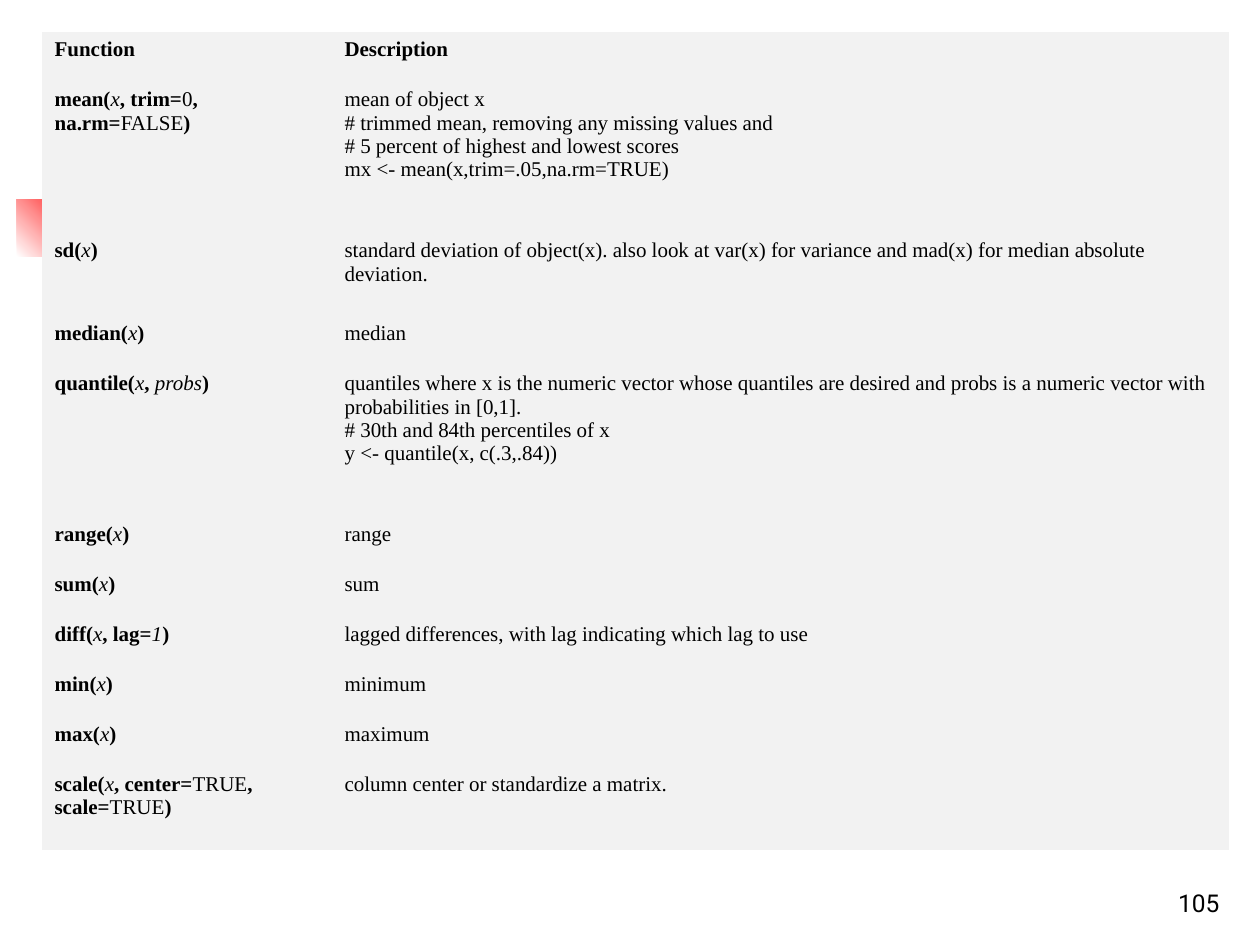
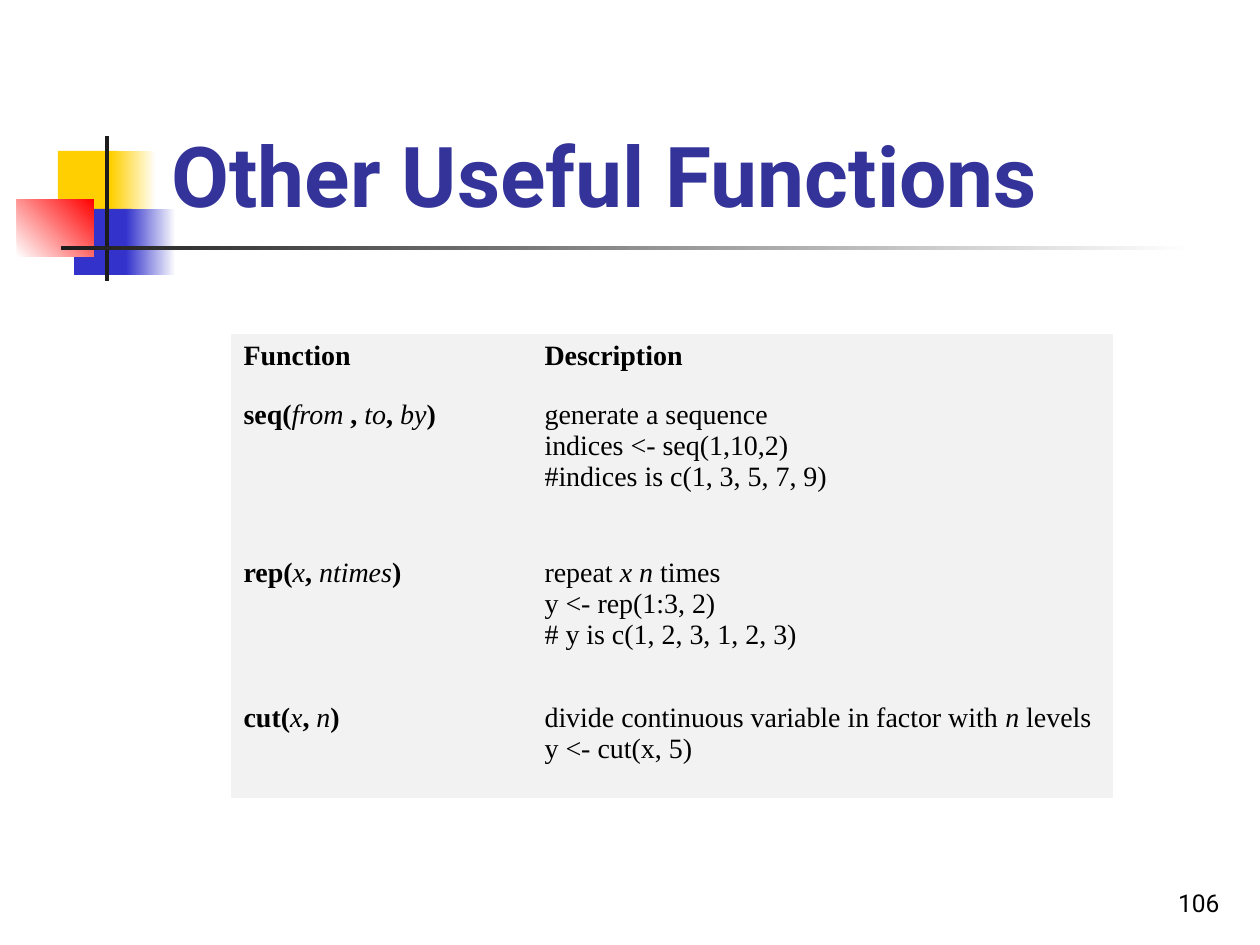
from pptx import Presentation
from pptx.dml.color import RGBColor
from pptx.enum.shapes import MSO_SHAPE
from pptx.enum.text import MSO_ANCHOR, MSO_AUTO_SIZE, PP_ALIGN
from pptx.oxml.ns import qn
from pptx.util import Emu, Pt

PX = 914400 // 126  # one px in EMU

WHITE = RGBColor(0xFF, 0xFF, 0xFF)
BLACK = RGBColor(0x00, 0x00, 0x00)
YELLOW = RGBColor(0xFF, 0xCF, 0x01)
BLUE = RGBColor(0x33, 0x33, 0xCC)
RED = RGBColor(0xFF, 0x00, 0x00)
CHARCOAL = RGBColor(0x1C, 0x1C, 0x1C)
TITLE_BLUE = RGBColor(0x33, 0x33, 0x99)
CELL_GREY = RGBColor(0xF2, 0xF2, 0xF2)

TITLE_FONT = "Roboto"
TABLE_FONT = "Times New Roman"
NO_STYLE_NO_GRID = "{2D5ABB26-0587-4C30-8999-92F81FD0307C}"
TITLE_ONLY, BLANK = 5, 6
ARGUMENT_VALUES = {"0", "TRUE", "FALSE"}  # set upright, other arguments italic

# Left, top, width, height, start colour, end colour, angle
BANDS = [
    (58, 151, 60, 66, YELLOW, None, 0),
    (111, 151, 45, 66, YELLOW, WHITE, 0),
    (74, 209, 58, 66, BLUE, None, 0),
    (126, 209, 50, 66, BLUE, WHITE, 0),
    (17, 199, 77, 58, WHITE, RED, 45),
    (105, 136, 4, 145, CHARCOAL, None, 0),
    (61, 246, 1134, 4, CHARCOAL, WHITE, 0),
]

# Underscores enclose the arguments and the emphasised words
HEADER = ("Function", "Description")
STATISTICS = [
    HEADER,
    ("mean(_x_, trim=_0_,\nna.rm=_FALSE_)",
     "mean of object x\n# trimmed mean, removing any missing values and \n"
     "# 5 percent of highest and lowest scores \nmx <- mean(x,trim=.05,na.rm=TRUE)"),
    ("sd(_x_)",
     "standard deviation of object(x). also look at var(x) for variance "
     "and mad(x) for median absolute deviation."),
    ("median(_x_)", "median"),
    ("quantile(_x_, _probs_)",
     "quantiles where x is the numeric vector whose quantiles are desired "
     "and probs is a numeric vector with probabilities in [0,1].\n"
     "# 30th and 84th percentiles of x\ny <- quantile(x, c(.3,.84))"),
    ("range(_x_)", "range"),
    ("sum(_x_)", "sum"),
    ("diff(_x_, lag=_1_)", "lagged differences, with lag indicating which lag to use"),
    ("min(_x_)", "minimum"),
    ("max(_x_)", "maximum"),
    ("scale(_x_, center=_TRUE_, scale=_TRUE_)", "column center or standardize a matrix."),
]
USEFUL = [
    HEADER,
    ("seq(_from_ ,_ to_,_ by_)",
     "generate a sequence\nindices <- seq(1,10,2)\n#indices is c(1, 3, 5, 7, 9)"),
    ("rep(_x_, _ntimes_)",
     "repeat _x n_ times\ny <- rep(1:3, 2)\n# y is c(1, 2, 3, 1, 2, 3)"),
    ("cut(_x_,_ n_)",
     "divide continuous variable in factor with _n_ levels \ny <- cut(x, 5)"),
]

# Title, number, table left and top, columns, row heights, text size, rows
SLIDES = [
    (None, "105", 42, 32, (290, 897),
     (50, 151, 83, 50, 151, 50, 50, 50, 50, 50, 83), 12, STATISTICS),
    ("Other Useful Functions", "106", 231, 334, (301, 581),
     (59, 158, 145, 102), 16, USEFUL),
]


def add_run(paragraph, text, font, size, color, bold=False, italic=False):
    for index, line in enumerate(text.split("\n")):
        if index:
            paragraph.add_line_break()
        run = paragraph.add_run()
        run.text = line
        run.font.name = font
        run.font.size = Pt(size)
        run.font.color.rgb = color
        run.font.bold = bold
        run.font.italic = italic


def box(left, top, width, height):
    return [Emu(length * PX) for length in (left, top, width, height)]


presentation = Presentation()
presentation.slide_width = Emu(1260 * PX)
presentation.slide_height = Emu(945 * PX)

for title, number, left, top, columns, heights, size, rows in SLIDES:
    layout = presentation.slide_layouts[TITLE_ONLY if title else BLANK]
    slide = presentation.slides.add_slide(layout)

    # Title
    if title:
        placeholder = slide.shapes.title
        placeholder.left, placeholder.top, placeholder.width, placeholder.height = box(
            159, 29, 1073, 202)
        frame = placeholder.text_frame
        frame.auto_size = MSO_AUTO_SIZE.NONE
        frame.vertical_anchor = MSO_ANCHOR.BOTTOM
        frame.paragraphs[0].alignment = PP_ALIGN.LEFT
        add_run(frame.paragraphs[0], title, TITLE_FONT, 48, TITLE_BLUE, bold=True)

    # Slide number
    frame = slide.shapes.add_textbox(*box(970, 861, 262, 63)).text_frame
    frame.word_wrap = True
    frame.vertical_anchor = MSO_ANCHOR.BOTTOM
    frame.paragraphs[0].alignment = PP_ALIGN.RIGHT
    add_run(frame.paragraphs[0], number, TITLE_FONT, 14, BLACK)

    # Function table
    table_shape = slide.shapes.add_table(
        len(rows), len(columns), *box(left, top, sum(columns), sum(heights)))
    table_shape.element.find(".//" + qn("a:tableStyleId")).text = NO_STYLE_NO_GRID
    table = table_shape.table
    table.first_row = table.horz_banding = False
    for column, width in zip(table.columns, columns):
        column.width = Emu(width * PX)
    for row_index, (row, height) in enumerate(zip(rows, heights)):
        table.rows[row_index].height = Emu(height * PX)
        for column_index, text in enumerate(row):
            cell = table.cell(row_index, column_index)
            cell.fill.solid()
            cell.fill.fore_color.rgb = CELL_GREY
            strong = row_index == 0 or column_index == 0
            for part_index, part in enumerate(text.split("_")):
                marked = part_index % 2 == 1
                add_run(cell.text_frame.paragraphs[0], part, TABLE_FONT, size, BLACK,
                        bold=strong and not marked,
                        italic=marked and part not in ARGUMENT_VALUES)

# Coloured bands, moved to the master so that every slide shares them
master_tree = presentation.slide_master.element.cSld.spTree
for index, (left, top, width, height, start, end, angle) in enumerate(BANDS):
    band = slide.shapes.add_shape(MSO_SHAPE.RECTANGLE, *box(left, top, width, height))
    band.shadow.inherit = False
    band.line.fill.background()
    if end is None:
        band.fill.solid()
        band.fill.fore_color.rgb = start
    else:
        band.fill.gradient()
        band.fill.gradient_angle = angle
        for stop, color in zip(band.fill.gradient_stops, (start, end)):
            stop.color.rgb = color
    band.element.nvSpPr.cNvPr.set("id", str(100 + index))
    master_tree.append(band.element)

presentation.save("out.pptx")
